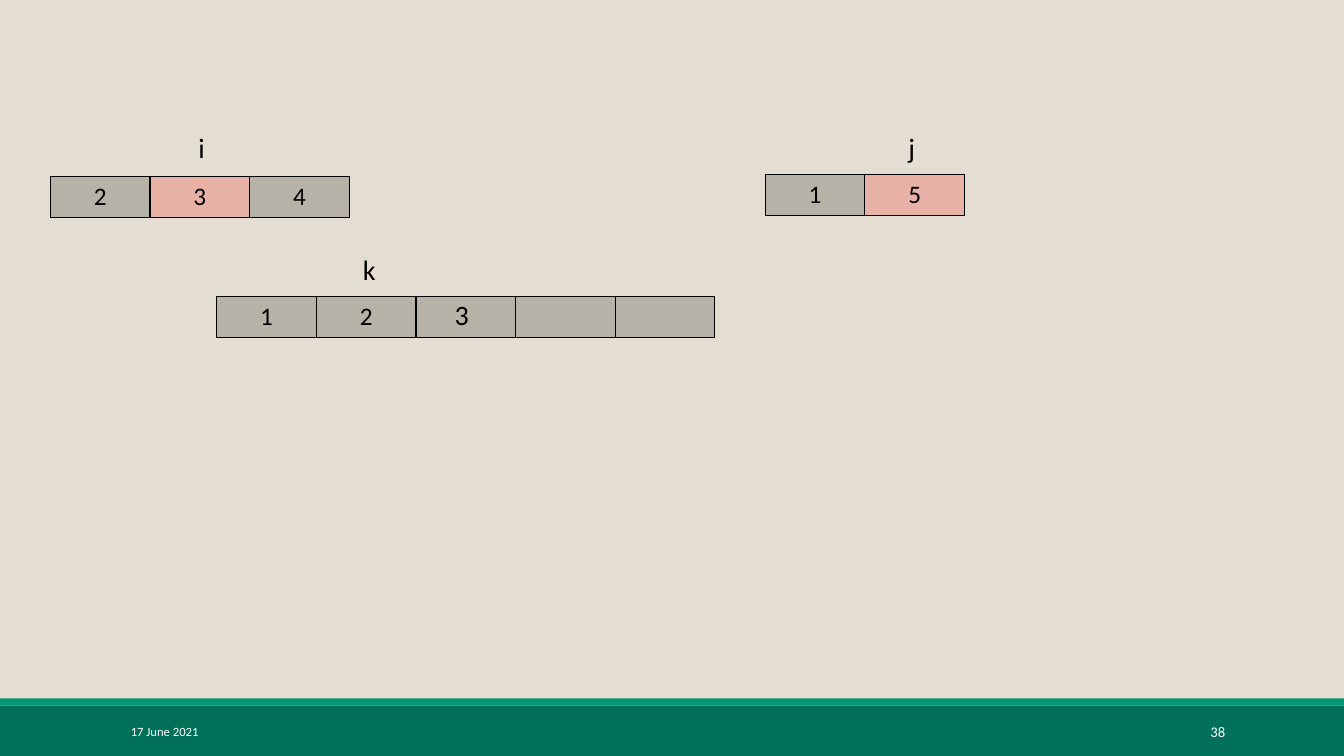
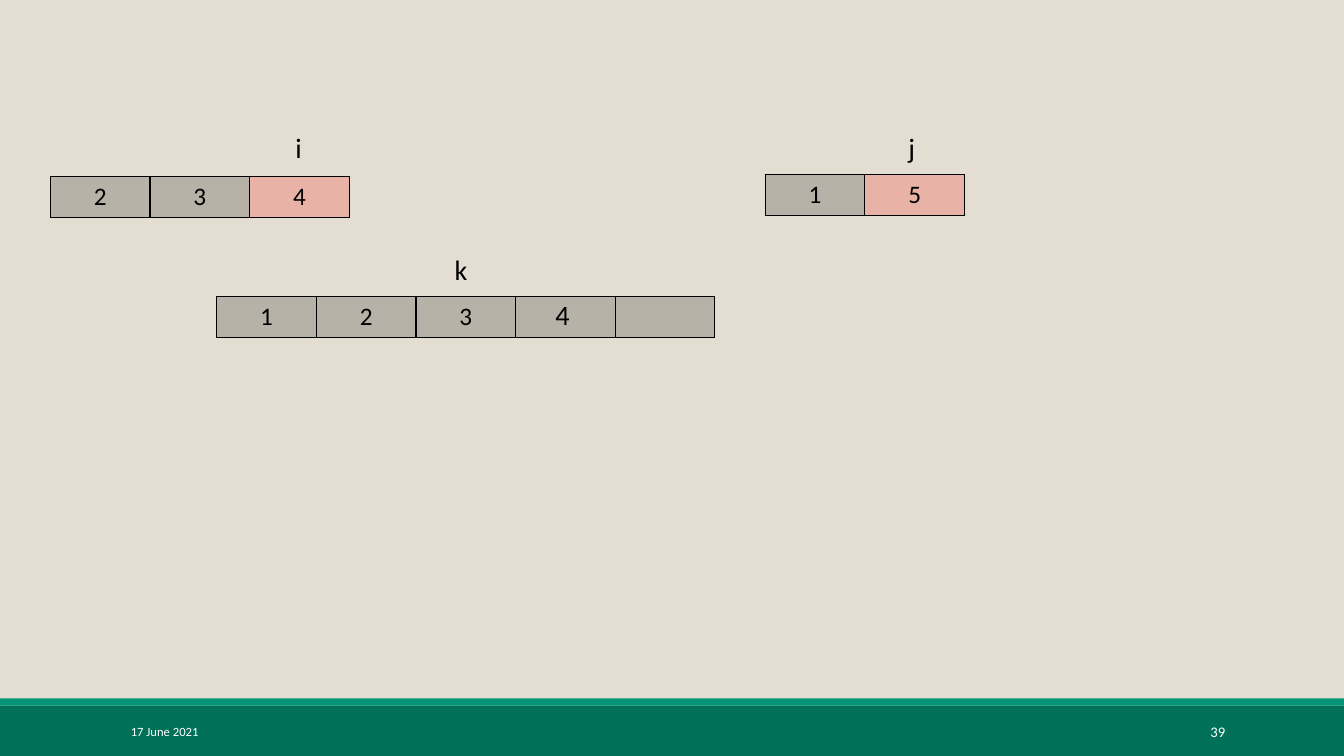
from lxml.etree import SubElement
from pptx import Presentation
from pptx.dml.color import RGBColor
from pptx.enum.shapes import MSO_SHAPE
from pptx.enum.text import MSO_ANCHOR, PP_ALIGN
from pptx.oxml.ns import qn
from pptx.util import Inches, Pt

SAND = RGBColor(0xE3, 0xDE, 0xD1)
DARK_GREEN = RGBColor(0x01, 0x70, 0x58)
GREEN = RGBColor(0x02, 0x96, 0x76)
GREY = RGBColor(0xB6, 0xB2, 0xA7)
PINK = RGBColor(0xE9, 0xB2, 0xA7)
BLACK = RGBColor(0x00, 0x00, 0x00)
WHITE = RGBColor(0xFF, 0xFF, 0xFF)
FONT = "Calibri"
CELL_W, CELL_H = 0.988, 0.41


def write(tf, text, size=20, color=BLACK, align=PP_ALIGN.LEFT, anchor=MSO_ANCHOR.TOP):
    tf.word_wrap = True
    tf.vertical_anchor = anchor
    p = tf.paragraphs[0]
    p.alignment = align
    r = p.add_run()
    r.text = text
    r.font.name = FONT
    r.font.size = Pt(size)
    r.font.color.rgb = color


def add_array(s, left, top, values, current=None):
    """Draw a one-row table with black borders and the current cell in pink."""
    table = s.shapes.add_table(1, len(values), Inches(left), Inches(top),
                               Inches(CELL_W * len(values)), Inches(CELL_H)).table
    table.first_row = table.horz_banding = False
    for i, value in enumerate(values):
        table.columns[i].width = Inches(CELL_W)
        cell = table.cell(0, i)
        tc_pr = cell._tc.get_or_add_tcPr()
        for side in ("a:lnL", "a:lnR", "a:lnT", "a:lnB"):
            ln = SubElement(tc_pr, qn(side), w=str(Pt(1)))
            SubElement(SubElement(ln, qn("a:solidFill")), qn("a:srgbClr"), val=str(BLACK))
        cell.fill.solid()
        cell.fill.fore_color.rgb = PINK if i == current else GREY
        if value:
            write(cell.text_frame, value, size=18, align=PP_ALIGN.CENTER)


prs = Presentation()
prs.slide_width, prs.slide_height = Inches(13.33), Inches(7.5)
master = prs.slide_master
master.background.fill.solid()
master.background.fill.fore_color.rgb = SAND
slides = [prs.slides.add_slide(prs.slide_layouts[6]) for _ in range(2)]

# The footer bands are drawn once and moved to the slide master
for number, (top, height, color) in enumerate([(7, 0.5, DARK_GREEN), (6.93, 0.07, GREEN)]):
    sp = slides[0].shapes.add_shape(MSO_SHAPE.RECTANGLE, 0, Inches(top),
                                    prs.slide_width, Inches(height))
    sp.shadow.inherit = False
    sp.fill.solid()
    sp.fill.fore_color.rgb = color
    sp.line.fill.background()
    sp._element.nvSpPr.cNvPr.set("id", str(100 + number))
    master.shapes._spTree.insert(2 + number, sp._element)

# Page, merged values, current cell of i, left of i, left of k, copied value and its left
steps = [
    ("38", ["1", "2", "", "", ""], 1, 1.87, 3.5, "3", 4.41),
    ("39", ["1", "2", "3", "", ""], 2, 2.83, 4.41, "4", 5.41),
]
for s, (page, merged, i_cell, i_left, k_left, copied, copied_left) in zip(slides, steps):
    for text, left, width, size, align in [
        ("17 June 2021", 1.2, 2.7, 9, PP_ALIGN.LEFT),
        (page, 10.82, 1.43, 10.5, PP_ALIGN.RIGHT),
    ]:
        box = s.shapes.add_textbox(Inches(left), Inches(7.06), Inches(width), Inches(0.4))
        write(box.text_frame, text, size=size, color=WHITE, align=align,
              anchor=MSO_ANCHOR.MIDDLE)

    add_array(s, 2.15, 2.94, merged)
    add_array(s, 0.5, 1.75, ["2", "3", "4"], current=i_cell)
    add_array(s, 7.59, 1.73, ["1", "5"], current=1)

    for text, left, top in [("j", 8.91, 1.25), ("k", k_left, 2.46),
                            (copied, copied_left, 2.9), ("i", i_left, 1.25)]:
        box = s.shapes.add_textbox(Inches(left), Inches(top), Inches(0.45), Inches(0.44))
        write(box.text_frame, text)

prs.save("out.pptx")
